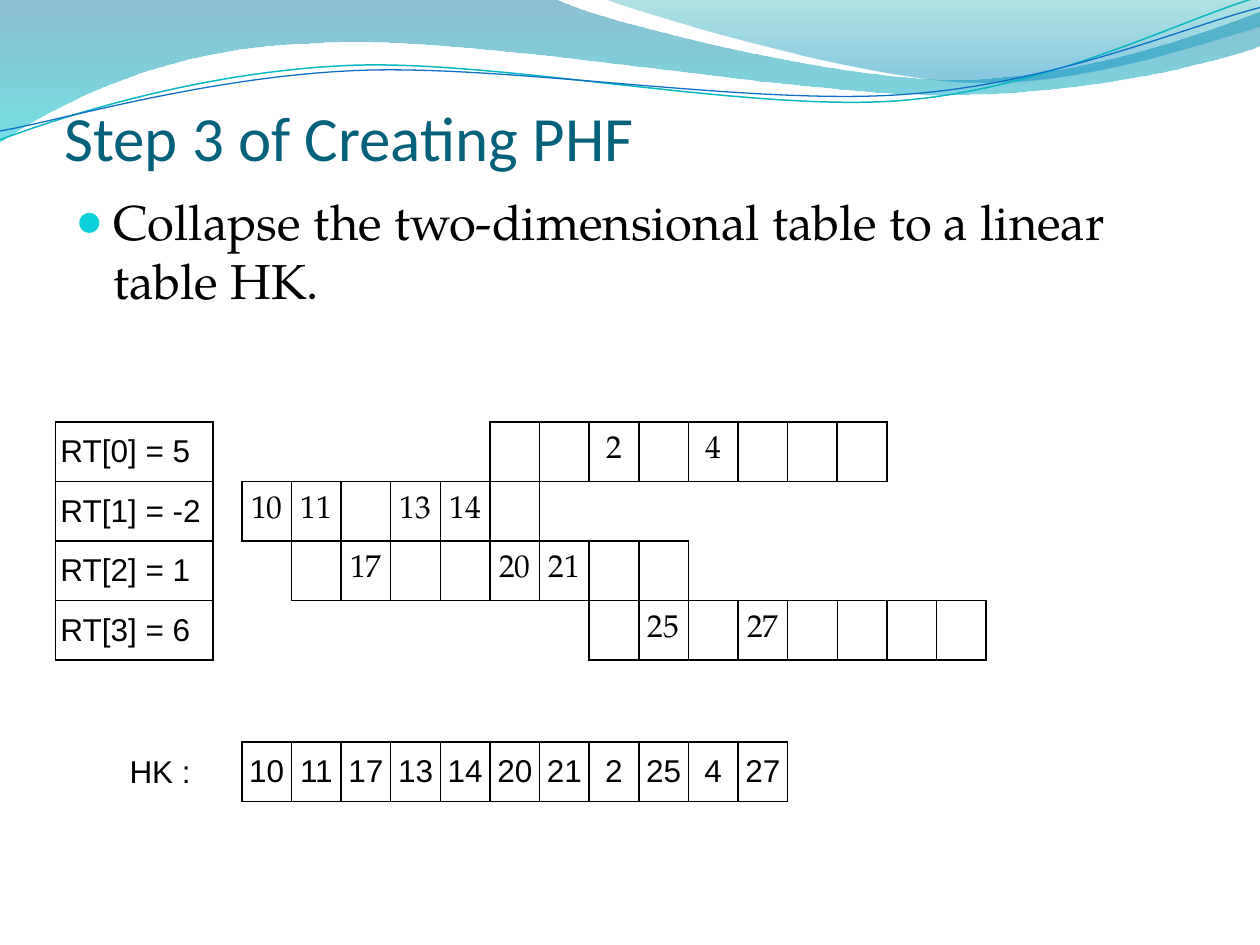
from lxml.etree import SubElement
from pptx import Presentation
from pptx.dml.color import RGBColor
from pptx.enum.text import MSO_ANCHOR as Anchor, MSO_AUTO_SIZE as Fit, PP_ALIGN as Align
from pptx.oxml import parse_xml
from pptx.oxml.ns import nsdecls, qn
from pptx.util import Inches, Pt

BLACK = RGBColor(0x00, 0x00, 0x00)
NAVY = RGBColor(0x04, 0x61, 0x7B)
CYAN = RGBColor(0x0B, 0xD0, 0xD9)
TEAL = RGBColor(0x0A, 0xB8, 0xBF)
BLUE = RGBColor(0x0F, 0x6F, 0xC6)
DEEP = RGBColor(0x00, 0x74, 0xA1)
AQUA = RGBColor(0x00, 0xC6, 0xCF)
GREEN = RGBColor(0x00, 0xA1, 0xA9)
SKY = RGBColor(0x00, 0x8B, 0xBF)

SERIF, SANS, HEAD = "TeX Gyre Pagella", "Arial", "Calibri"
CELL_W, CELL_H = 3.15 / 8, 1.89 / 4
GRID_X, GRID_Y = 1.92, 3.35

# Bands: each step is a line end (2 values) or a cubic curve (6 values);
# each stop is position, colour, opacity in percent.
BANDS = [
    ([(0, 0), (4.4, -0.01), (4.76, 0.17, 6.64, 0.63, 7.58, 0.63),
      (8.53, 0.63, 9.58, 0.26, 10, 0.09), (10.01, 0.36),
      (9.83, 0.44, 8.7, 0.76, 7.46, 0.75), (6.22, 0.75, 3.82, 0.28, 2.57, 0.34),
      (1.29, 0.36, 0.46, 0.83, -0.01, 1.13), (0, 0)],
     [(0, DEEP, 45), (1, AQUA, 55)]),
    ([(4.79, -0.01), (5.09, 0.11, 6.82, 0.62, 7.69, 0.65),
      (8.56, 0.69, 9.61, 0.32, 10, 0.21), (10, 0), (4.79, -0.01)],
     [(0, GREEN, 30), (0.8, SKY, 45)]),
]
LINES = [
    ([(0, 1.11), (0.48, 0.93, 1.58, 0.57, 2.77, 0.52),
      (3.95, 0.47, 5.93, 0.89, 7.13, 0.8), (8.33, 0.71, 9.38, 0.15, 9.98, -0.02)],
     TEAL, 0.85),
    ([(0, 1.04), (0.47, 0.96, 1.64, 0.61, 2.83, 0.56),
      (4.03, 0.51, 5.97, 0.84, 7.17, 0.75), (8.36, 0.67, 9.41, 0.21, 10, 0.06)],
     BLUE, 0.75),
]
OFFSETS = ["RT[0] = 5", "RT[1] = -2", "RT[2] = 1", "RT[3] = 6"]
ROWS = [  # first column, cells
    (5, ["", "", "2", "", "4", "", "", ""]),
    (0, ["10", "11", "", "13", "14", ""]),
    (1, ["", "17", "", "", "20", "21", "", ""]),
    (7, ["", "25", "", "27", "", "", "", ""]),
]
HASH = ["10", "11", "17", "13", "14", "20", "21", "2", "25", "4", "27"]


def apply(item, **values):
    for name, value in values.items():
        setattr(item, name, value)


def write(frame, text, font, size, color, align=Align.LEFT):
    par = frame.paragraphs[0]
    par.alignment = align
    run = par.add_run()
    run.text = text
    apply(run.font, name=font, size=Pt(size))
    run.font.color.rgb = color
    return par


def add_curve(slide, steps, close):
    """Draw lines through all points, then bend each group of three into a cubic."""
    points = [(Inches(step[n]), Inches(step[n + 1]))
              for step in steps for n in range(0, len(step), 2)]
    pen = slide.shapes.build_freeform(*points[0])
    pen.add_line_segments(points[1:], close=close)
    shape = pen.convert_to_shape()
    shape.shadow.inherit = False
    edges = iter(list(shape.element.iter(qn("a:lnTo"))))
    for step in steps[1:]:
        edge = next(edges)
        if len(step) == 6:
            edge.tag = qn("a:cubicBezTo")
            for _ in range(2):
                extra = next(edges)
                edge.append(extra[0])
                extra.getparent().remove(extra)
    return shape


def add_waves(slide):
    for steps, stops in BANDS:
        band = add_curve(slide, steps, True)
        band.line.fill.background()
        band.fill.gradient()
        band.fill.gradient_angle = 270
        for stop, (place, color, _) in zip(band.fill.gradient_stops, stops):
            stop.position = place
            stop.color.rgb = color
        tones = list(band.element.spPr.iter(qn("a:srgbClr")))
        for tone, (_, _, alpha) in zip(tones, stops):
            SubElement(tone, qn("a:alpha"), val=str(alpha * 1000))
    for steps, color, width in LINES:
        wave = add_curve(slide, steps, False)
        wave.fill.background()
        wave.line.color.rgb = color
        wave.line.width = Pt(width)


def set_title(slide, x, y, w, h):
    title = slide.shapes.title
    title.element.getparent().append(title.element)  # in front of the waves
    apply(title, left=Inches(x), top=Inches(y), width=Inches(w), height=Inches(h))
    apply(title.text_frame, vertical_anchor=Anchor.BOTTOM, auto_size=Fit.NONE,
          margin_left=0, margin_top=Inches(0.05), margin_right=0, margin_bottom=0)
    write(title.text_frame, "Step 3 of Creating PHF", HEAD, 36, NAVY)


def add_text(slide, x, y, w, h, text, font, size, anchor):
    box = slide.shapes.add_textbox(Inches(x), Inches(y), Inches(w), Inches(h))
    apply(box.text_frame, word_wrap=True, vertical_anchor=anchor)
    return write(box.text_frame, text, font, size, BLACK)


def add_bullet(slide, x, y, w, h):
    text = "Collapse the two-dimensional table to a linear table HK."
    par = add_text(slide, x, y, w, h, text, SERIF, 28, Anchor.TOP)
    par.space_before = Pt(5.6)
    props = par._p.get_or_add_pPr()
    props.set("marL", str(Inches(0.3)))
    props.set("indent", str(Inches(-0.3)))
    color = SubElement(props, qn("a:buClr"))
    SubElement(color, qn("a:srgbClr"), val=str(CYAN))
    SubElement(props, qn("a:buSzPct"), val="95000")
    SubElement(props, qn("a:buFont"), typeface=SANS)
    SubElement(props, qn("a:buChar"), char="●")


def add_borders(cell):
    props = cell._tc.get_or_add_tcPr()
    for n, side in enumerate(["lnL", "lnR", "lnT", "lnB"]):
        props.insert(n, parse_xml(
            f'<a:{side} {nsdecls("a")} w="{Pt(1)}"><a:solidFill>'
            f'<a:srgbClr val="{BLACK}"/></a:solidFill></a:{side}>'))


def add_grid(slide, x, y, rows, font, width=CELL_W, pad=0.0, align=Align.CENTER):
    count = len(rows[0])
    frame = slide.shapes.add_table(len(rows), count, Inches(x), Inches(y),
                                   Inches(width * count), Inches(CELL_H * len(rows)))
    table = frame.table
    apply(table, first_row=False, horz_banding=False)
    for r, row in enumerate(rows):
        for c, text in enumerate(row):
            cell = table.cell(r, c)
            apply(cell, vertical_anchor=Anchor.MIDDLE,
                  margin_left=Inches(pad), margin_right=Inches(pad))
            cell.fill.background()
            add_borders(cell)
            if text:
                write(cell.text_frame, text, font, 18, BLACK, align)


def add_rows(slide, x, y):
    for n, (start, cells) in enumerate(ROWS):
        add_grid(slide, x + start * CELL_W, y + n * CELL_H, [cells], SERIF)


def main():
    deck = Presentation()
    apply(deck, slide_width=Inches(10), slide_height=Inches(7.5))
    slide = deck.slides.add_slide(deck.slide_layouts[5])
    add_waves(slide)
    set_title(slide, 0.51, 0.53, 9, 0.85)
    add_bullet(slide, 0.5, 1.47, 9, 5.45)
    add_grid(slide, 0.44, GRID_Y, [[text] for text in OFFSETS], SANS,
             width=1.25, pad=0.04, align=Align.LEFT)
    add_rows(slide, GRID_X, GRID_Y)
    add_grid(slide, GRID_X, 5.89, [HASH], SANS)
    add_text(slide, 0.93, 5.92, 0.94, 0.4, "HK :", SANS, 18, Anchor.MIDDLE)
    deck.save("out.pptx")


if __name__ == "__main__":
    main()
